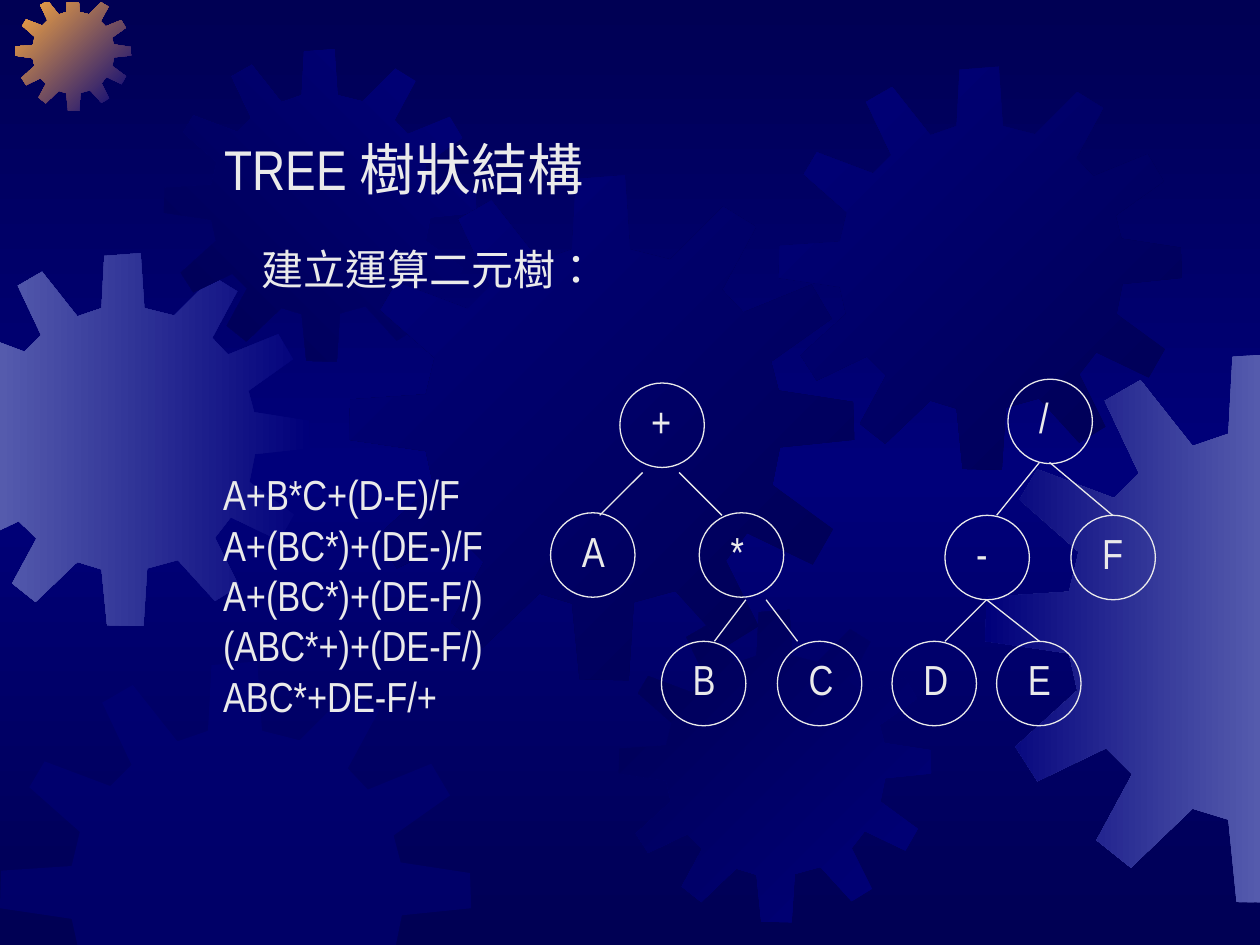
from copy import deepcopy

from lxml import etree
from pptx import Presentation
from pptx.dml.color import RGBColor
from pptx.enum.lang import MSO_LANGUAGE_ID
from pptx.enum.shapes import MSO_CONNECTOR, MSO_SHAPE
from pptx.enum.text import MSO_ANCHOR, MSO_AUTO_SIZE, PP_ALIGN
from pptx.oxml.ns import qn
from pptx.util import Inches, Pt

OVAL, LINE = MSO_SHAPE.OVAL, MSO_CONNECTOR.STRAIGHT
LEFT, TOP, FIXED = PP_ALIGN.LEFT, MSO_ANCHOR.TOP, MSO_AUTO_SIZE.NONE
CHINESE = MSO_LANGUAGE_ID.TRADITIONAL_CHINESE
FONT = "Arial Narrow"
HUES = {"deep": "000054", "navy": "00007A", "haze": "555BAD",
        "gold": "FCAB40", "text": "EAEAEA"}
RGB = {name: RGBColor.from_string(hue) for name, hue in HUES.items()}


def blend(fill, turn, *names):
    """Fill with evenly spaced stops; turn is in degrees clockwise."""
    fill.gradient()
    fill.gradient_angle = (360 - turn) % 360
    while len(fill.gradient_stops) < len(names):
        first = fill.gradient_stops[0].element
        first.addnext(deepcopy(first))
    for i, (stop, name) in enumerate(zip(fill.gradient_stops, names)):
        stop.position = i / (len(names) - 1)
        stop.color.rgb = RGB[name]


def crop(dots, axis, edge, side):
    """Keep the part of an outline above (side 1) or below (side -1) an edge."""
    kept = []
    for a, b in zip(dots[-1:] + dots[:-1], dots):
        da, db = (side * (p[axis] - edge) for p in (a, b))
        if da * db < 0:
            t = da / (da - db)
            kept.append(tuple(m + t * (n - m) for m, n in zip(a, b)))
        if db >= 0:
            kept.append(b)
    return kept


deck = Presentation()
deck.slide_width, deck.slide_height = Inches(10), Inches(7.5)
slide = deck.slides.add_slide(deck.slide_layouts[1])
shapes = slide.shapes
blend(slide.background.fill, 90, "deep", "navy", "deep")

# Gears: one twelve-tooth outline, scaled and cropped at the slide edges
GEAR = [
    (2.55, .67), (2.23, .59), (2.19, 0), (1.8, .03), (1.77, .59), (1.51, .68),
    (1.13, .2), (.87, .35), (1.12, .88), (.94, 1.06), (.38, .85), (.25, 1.07),
    (.68, 1.45), (.61, 1.74), (.01, 1.78), (0, 2.1), (.61, 2.19), (.67, 2.46),
    (.22, 2.87), (.38, 3.12), (.88, 2.88), (1.07, 3.07), (.81, 3.55),
    (1.06, 3.75), (1.51, 3.32), (1.77, 3.4), (1.83, 4), (2.22, 4.01),
    (2.26, 3.39), (2.59, 3.3), (2.99, 3.74), (3.25, 3.58), (2.99, 3.06),
    (3.16, 2.84), (3.68, 3.09), (3.84, 2.81), (3.36, 2.46), (3.42, 2.16),
    (4.01, 2.1), (4, 1.8), (3.41, 1.71), (3.35, 1.48), (3.83, 1.14),
    (3.67, .87), (3.13, 1.09), (2.96, .91), (3.23, .41), (2.97, .25)]
SPAN = 4.01
gears = [  # left, top, size, turn, colours
    (-.5, 2.01, 2.96, 180, ("navy", "haze")),
    (.12, -.04, .92, 225, ("navy", "gold")),
    (1.3, .39, 2.48, 135, ("navy", "deep")),
    (2.77, 1.39, 4.01, 225, ("deep", "navy")),
    (0, 5.25, 3.74, None, ("navy",)),
    (4.91, 4.84, 2.48, 225, ("navy", "deep")),
    (6.18, .53, 3.2, 225, ("deep", "navy")),
    (7.82, 2.8, 4.37, 180, ("haze", "navy")),
]
for x, y, size, turn, names in gears:
    dots = [(x + a * size / SPAN, y + b * size / SPAN) for a, b in GEAR]
    for axis, edge, side in ((0, 0, 1), (0, 10, -1), (1, .02, 1), (1, 7.5, -1)):
        dots = crop(dots, axis, edge, side)
    dots = [(Inches(a), Inches(b)) for a, b in dots]
    pen = shapes.build_freeform(*dots[0])
    pen.add_line_segments(dots[1:])
    gear = pen.convert_to_shape()
    gear.shadow.inherit = False
    gear.line.fill.background()
    if turn is None:
        gear.fill.solid()
        gear.fill.fore_color.rgb = RGB[names[0]]
        tint = gear.element.spPr.find(".//" + qn("a:srgbClr"))
        etree.SubElement(tint, qn("a:alpha"), val="50000")
    else:
        blend(gear.fill, turn, *names)

# Title, subtitle and the steps from infix to postfix
title, body = shapes.title, slide.placeholders[1]
note = shapes.add_textbox(0, 0, 0, 0)
steps = ["A+B*C+(D-E)/F", "A+(BC*)+(DE-)/F", "A+(BC*)+(DE-F/)",
         "(ABC*+)+(DE-F/)", "ABC*+DE-F/+"]
texts = [
    (title, (1.68, 1.02, 3.16, .64), 32, ["TREE 樹狀結構"]),
    (body, (1.67, 3.67, 2.26, 2.1), 24, steps),
    (note, (1.98, 1.88, 2.86, .5), 24, ["建立運算二元樹："]),
]
for box, (x, y, w, h), size, lines in texts:
    box.left, box.top = Inches(x), Inches(y)
    box.width, box.height = Inches(w), Inches(h)
    box.element.getparent().append(box.element)
    frame = box.text_frame
    frame.text = "\n".join(lines)
    frame.word_wrap, frame.auto_size = False, FIXED
    frame.vertical_anchor, frame.margin_right = TOP, 0
    for para in frame.paragraphs:
        para.alignment, para.space_before = LEFT, Pt(0)
        para.font.name, para.font.size = FONT, Pt(size)
        para.font.color.rgb = RGB["text"]
        if box is not body:
            para.runs[0].font.language_id = CHINESE

for props in body.element.iter(qn("a:pPr")):
    props.set("marL", "0")
    props.set("indent", "0")
    mark = etree.Element(qn("a:buNone"))
    props.find(qn("a:defRPr")).addprevious(mark)

# Expression trees
nodes = [("+", 4.92, 3.04), ("A", 4.37, 4.07), ("*", 5.55, 4.07),
         ("B", 5.25, 5.09), ("C", 6.17, 5.09), ("/", 8, 3.01),
         ("-", 7.5, 4.09), ("F", 8.5, 4.09), ("D", 7.08, 5.09),
         ("E", 7.91, 5.09)]
for sign, x, y in nodes:
    node = shapes.add_shape(OVAL, Inches(x), Inches(y), Inches(.67), Inches(.67))
    node.shadow.inherit = False
    node.fill.background()
    node.line.color.rgb, node.line.width = RGB["text"], Pt(.75)
    frame = node.text_frame
    frame.text = sign
    frame.word_wrap, frame.vertical_anchor = True, TOP
    frame.margin_left = Inches(.15)
    frame.margin_top = frame.margin_right = frame.margin_bottom = 0
    para = frame.paragraphs[0]
    para.alignment = LEFT
    para.font.name, para.font.size = FONT, Pt(24)
    para.font.color.rgb = RGB["text"]

links = [(5.1, 3.75, 4.76, 4.09), (5.39, 3.75, 5.73, 4.09),
         (5.92, 4.76, 5.67, 5.09), (6.08, 4.76, 6.33, 5.09),
         (8.25, 3.67, 7.91, 4.09), (8.33, 3.67, 8.83, 4.09),
         (7.83, 4.76, 7.5, 5.09), (7.83, 4.76, 8.25, 5.09)]
for ends in links:
    link = shapes.add_connector(LINE, *map(Inches, ends))
    link.line.color.rgb, link.line.width = RGB["text"], Pt(.75)
    etree.SubElement(link.element.spPr, qn("a:effectLst"))

deck.save("out.pptx")
